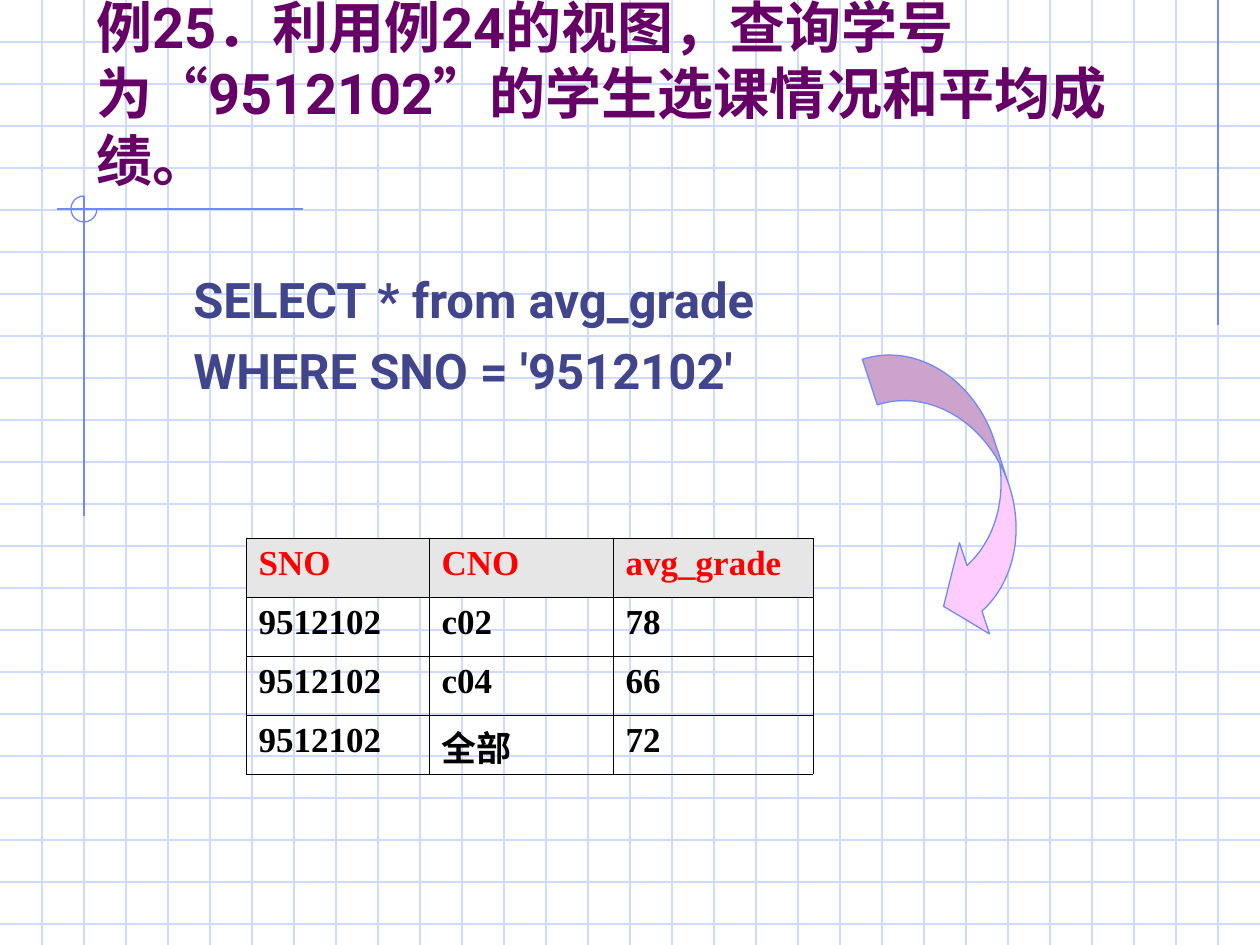
from lxml.etree import SubElement
from pptx import Presentation
from pptx.dml.color import RGBColor
from pptx.enum.shapes import MSO_CONNECTOR, MSO_SHAPE
from pptx.enum.text import MSO_ANCHOR, MSO_AUTO_SIZE, PP_ALIGN
from pptx.oxml.ns import qn
from pptx.util import Emu, Pt

PX_PER_INCH = 126
WIDTH, HEIGHT, GRID_STEP = 1260, 945, 42
GRID_BLUE, ACCENT_BLUE = "CFDBFD", "6F89F7"
SANS, SERIF, CHINESE = "Roboto", "Times New Roman", "Noto Sans CJK SC"

TITLE_RUNS = [
    ("例25．利用例24的视图，查询学号为", SANS, SANS),
    ("“", SERIF, CHINESE),
    ("9512102", SANS, SANS),
    ("”", SERIF, CHINESE),
    ("的学生选课情况和平均成绩。", SANS, SANS),
]
QUERY_LINES = ["SELECT * from avg_grade", "WHERE SNO = '9512102'"]
RESULT_ROWS = [
    ("SNO", "CNO", "avg_grade"),
    ("9512102", "c02", "78"),
    ("9512102", "c04", "66"),
    ("9512102", "全部", "72"),
]


def px(value):
    return Emu(round(value * 914400 / PX_PER_INCH))


def color(hex_string):
    return RGBColor.from_string(hex_string)


def add_run(paragraph, text, latin, east_asian, size, hex_color):
    run = paragraph.add_run()
    run.text = text
    font = run.font
    font.name, font.size, font.bold = latin, Pt(size), True
    font.color.rgb = color(hex_color)
    properties = run._r.get_or_add_rPr()
    properties.set("lang", "zh-CN")
    SubElement(properties, qn("a:ea"), typeface=east_asian)


def add_line(slide, x1, y1, x2, y2, hex_color):
    line = slide.shapes.add_connector(
        MSO_CONNECTOR.STRAIGHT, px(x1), px(y1), px(x2), px(y2))
    line.line.color.rgb = color(hex_color)
    line.line.width = Pt(0.75)
    SubElement(line._element.spPr, qn("a:effectLst"))


def add_outlined_shape(slide, kind, box, adjustments):
    shape = slide.shapes.add_shape(kind, *map(px, box))
    shape.shadow.inherit = False
    shape.line.color.rgb = color(ACCENT_BLUE)
    shape.line.width = Pt(0.75)
    for index, value in enumerate(adjustments):
        shape.adjustments[index] = value
    return shape


def draw_grid(slide, width, height):
    for y in range(GRID_STEP, height, GRID_STEP):
        add_line(slide, 0, y, width, y, GRID_BLUE)
    for x in range(GRID_STEP, width, GRID_STEP):
        add_line(slide, x, 0, x, height, GRID_BLUE)


def draw_crosshair(slide, center_x, center_y, radius):
    add_line(slide, center_x + 219, center_y, center_x - 27, center_y, ACCENT_BLUE)
    add_line(slide, center_x, center_y - radius, center_x, center_y + 307, ACCENT_BLUE)
    box = (center_x - radius, center_y - radius, 2 * radius, 2 * radius)
    # Arc angles are in units of 0.6 per degree: from 0 to 270 degrees.
    arc = add_outlined_shape(slide, MSO_SHAPE.ARC, box, (0, 162))
    arc.fill.background()


def place_title(slide, box):
    title = slide.shapes.title
    title.left, title.top, title.width, title.height = map(px, box)
    frame = title.text_frame
    frame.word_wrap = True
    frame.auto_size = MSO_AUTO_SIZE.NONE
    frame.vertical_anchor = MSO_ANCHOR.BOTTOM
    paragraph = frame.paragraphs[0]
    paragraph.alignment = PP_ALIGN.LEFT
    paragraph.line_spacing = Pt(38)
    for text, latin, east_asian in TITLE_RUNS:
        add_run(paragraph, text, latin, east_asian, 32, "660066")
    slide.shapes._spTree.append(title._element)  # bring in front of the grid


def add_query(slide, box):
    frame = slide.shapes.add_textbox(*map(px, box)).text_frame
    frame.word_wrap = True
    for index, text in enumerate(QUERY_LINES):
        paragraph = frame.add_paragraph() if index else frame.paragraphs[0]
        if index:
            paragraph.space_before = Pt(7)
        add_run(paragraph, text, SANS, SANS, 28, "40458C")


def set_borders(cell, hex_color, width):
    properties = cell._tc.get_or_add_tcPr()
    for index, side in enumerate(("lnL", "lnR", "lnT", "lnB")):
        border = properties.makeelement(qn(f"a:{side}"), {"w": str(Pt(width))})
        fill = SubElement(border, qn("a:solidFill"))
        SubElement(fill, qn("a:srgbClr"), val=hex_color)
        properties.insert(index, border)


def add_result_table(slide, left, top, column_widths, row_height):
    row_count = len(RESULT_ROWS)
    table = slide.shapes.add_table(
        row_count, len(column_widths), px(left), px(top),
        px(sum(column_widths)), px(row_height * row_count)).table
    for column, width in zip(table.columns, column_widths):
        column.width = px(width)
    for row_index, values in enumerate(RESULT_ROWS):
        table.rows[row_index].height = px(row_height)
        text_color = "000000" if row_index else "FF0000"
        for column_index, text in enumerate(values):
            cell = table.cell(row_index, column_index)
            if row_index == 0:
                cell.fill.solid()
                cell.fill.fore_color.rgb = color("E6E6E6")
            else:
                cell.fill.background()
            set_borders(cell, "000000", 0.45)
            paragraph = cell.text_frame.paragraphs[0]
            add_run(paragraph, text, SERIF, CHINESE, 20, text_color)


def add_result_arrow(slide, box):
    arrow = add_outlined_shape(
        slide, MSO_SHAPE.CURVED_LEFT_ARROW, box, (0.48, 0.96, 0.35))
    arrow.fill.solid()
    arrow.fill.fore_color.rgb = color("FFCCFF")
    arrow.rotation = 341.8


def main():
    presentation = Presentation()
    presentation.slide_width, presentation.slide_height = px(WIDTH), px(HEIGHT)
    slide = presentation.slides.add_slide(presentation.slide_layouts[5])
    slide.background.fill.solid()
    slide.background.fill.fore_color.rgb = color("FFFFFF")
    draw_grid(slide, WIDTH, HEIGHT)
    add_line(slide, 1218, 0, 1218, 325, ACCENT_BLUE)
    draw_crosshair(slide, 84, 209, 13)
    place_title(slide, (84, 42, 1071, 157))
    add_query(slide, (181, 263, 876, 179))
    add_result_table(slide, 246, 538, (183, 184, 200), 59)
    add_result_arrow(slide, (908, 336, 100, 308))
    presentation.save("out.pptx")


if __name__ == "__main__":
    main()
